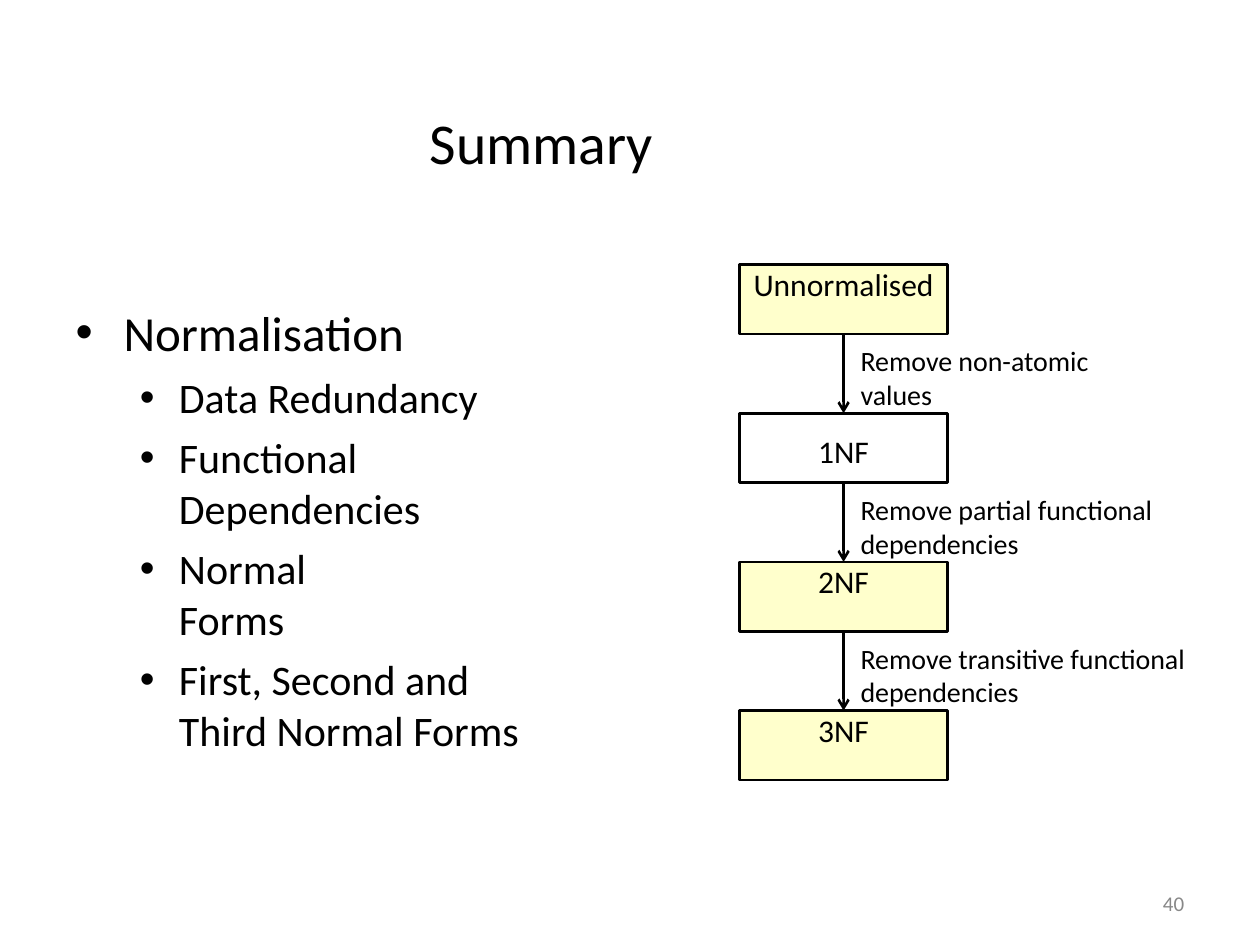
from lxml.etree import SubElement
from pptx import Presentation
from pptx.dml.color import RGBColor
from pptx.enum.shapes import MSO_CONNECTOR, MSO_SHAPE
from pptx.enum.text import MSO_ANCHOR, PP_ALIGN
from pptx.oxml.ns import qn
from pptx.util import Inches, Pt

BLACK = RGBColor(0, 0, 0)
CREAM = RGBColor(255, 255, 204)
GREY = RGBColor(136, 136, 136)

LEFT, TOP, WIDE, HIGH, STEP = 5.87, 2.1, 1.65, 0.55, 1.18
STAGES = [("Unnormalised", CREAM), ("1NF", None), ("2NF", CREAM), ("3NF", CREAM)]
LABELS = [
    "Remove non-atomic\vvalues",
    "Remove partial functional\vdependencies",
    "Remove transitive functional\vdependencies",
]
POINTS = [
    "Data Redundancy",
    "Functional\vDependencies",
    "Normal\vForms",
    "First, Second and\vThird Normal Forms",
]


def style(par, size, color=BLACK, align=PP_ALIGN.LEFT):
    """Set the font and alignment of a paragraph."""
    par.alignment = align
    par.font.color.rgb = color
    for name, value in {"name": "Calibri", "size": Pt(size)}.items():
        setattr(par.font, name, value)


def frame(shape, anchor=MSO_ANCHOR.TOP, left=0, top=0):
    """Prepare the text frame of a shape and return it."""
    body = shape.text_frame
    form = {
        "word_wrap": True,
        "vertical_anchor": anchor,
        "margin_left": Inches(left),
        "margin_top": Inches(top),
        "margin_right": 0,
        "margin_bottom": 0,
    }
    for name, value in form.items():
        setattr(body, name, value)
    return body


def add_title(slide, text):
    """Place the slide title."""
    title = slide.shapes.title
    place = {"left": 0.69, "top": 0.4, "width": 8.62, "height": 1.45}
    for name, value in place.items():
        setattr(title, name, Inches(value))
    body = frame(title, MSO_ANCHOR.MIDDLE, left=2.72)
    body.text = text
    style(body.paragraphs[0], 33)


def add_text(slide, text, box, size, color=BLACK):
    """Add a plain text box."""
    body = frame(slide.shapes.add_textbox(*map(Inches, box)))
    body.text = text
    style(body.paragraphs[0], size, color)


def add_point(par, text, level, size, margin, hang):
    """Fill a bulleted paragraph."""
    par.text = text
    par.level = level
    props = par._p.get_or_add_pPr()
    props.set("marL", str(Inches(margin)))
    props.set("indent", str(-Inches(hang)))
    if level:
        par.space_before = Pt(5.8)
    SubElement(props, qn("a:buFont"), typeface="Arial")
    SubElement(props, qn("a:buChar"), char="•")
    style(par, size)


def add_list(slide, head, points):
    """Add the two-level bullet list."""
    box = map(Inches, (0.59, 2.4, 3.92, 3.16))
    body = frame(slide.shapes.add_textbox(*box))
    add_point(body.paragraphs[0], head, 0, 28, 0.39, 0.38)
    for text in points:
        add_point(body.add_paragraph(), text, 1, 24, 0.83, 0.31)


def add_stage(slide, text, fill, top):
    """Add one normal-form box."""
    box = map(Inches, (LEFT, top, WIDE, HIGH))
    shape = slide.shapes.add_shape(MSO_SHAPE.RECTANGLE, *box)
    shape.shadow.inherit = False
    shape.line.color.rgb = BLACK
    shape.line.width = Pt(1.5)
    if fill is None:
        shape.fill.background()
    else:
        shape.fill.solid()
        shape.fill.fore_color.rgb = fill
    body = frame(shape, top=0.15 if fill is None else 0)
    body.text = text
    style(body.paragraphs[0], 18, align=PP_ALIGN.CENTER)
    return shape


def add_arrow(slide, start, end):
    """Join two boxes with a downward arrow."""
    arrow = slide.shapes.add_connector(MSO_CONNECTOR.STRAIGHT, 0, 0, 0, 0)
    arrow.begin_connect(start, 2)
    arrow.end_connect(end, 0)
    arrow.line.color.rgb = BLACK
    arrow.line.width = Pt(1.5)
    SubElement(arrow.line._get_or_add_ln(), qn("a:tailEnd"), type="arrow")
    SubElement(arrow._element.spPr, qn("a:effectLst"))


def main():
    """Build the summary slide."""
    deck = Presentation()
    deck.slide_width, deck.slide_height = Inches(10), Inches(7.5)
    slide = deck.slides.add_slide(deck.slide_layouts[5])
    add_title(slide, "Summary")
    add_list(slide, "Normalisation", POINTS)
    boxes = [
        add_stage(slide, text, fill, TOP + row * STEP)
        for row, (text, fill) in enumerate(STAGES)
    ]
    for start, end in zip(boxes, boxes[1:]):
        add_arrow(slide, start, end)
    for row, text in enumerate(LABELS):
        add_text(slide, text, (6.83, TOP + 0.63 + row * STEP, 2.65, 0.52), 16)
    add_text(slide, "40", (9.23, 7.07, 0.2, 0.19), 12, GREY)
    deck.save("out.pptx")


if __name__ == "__main__":
    main()
